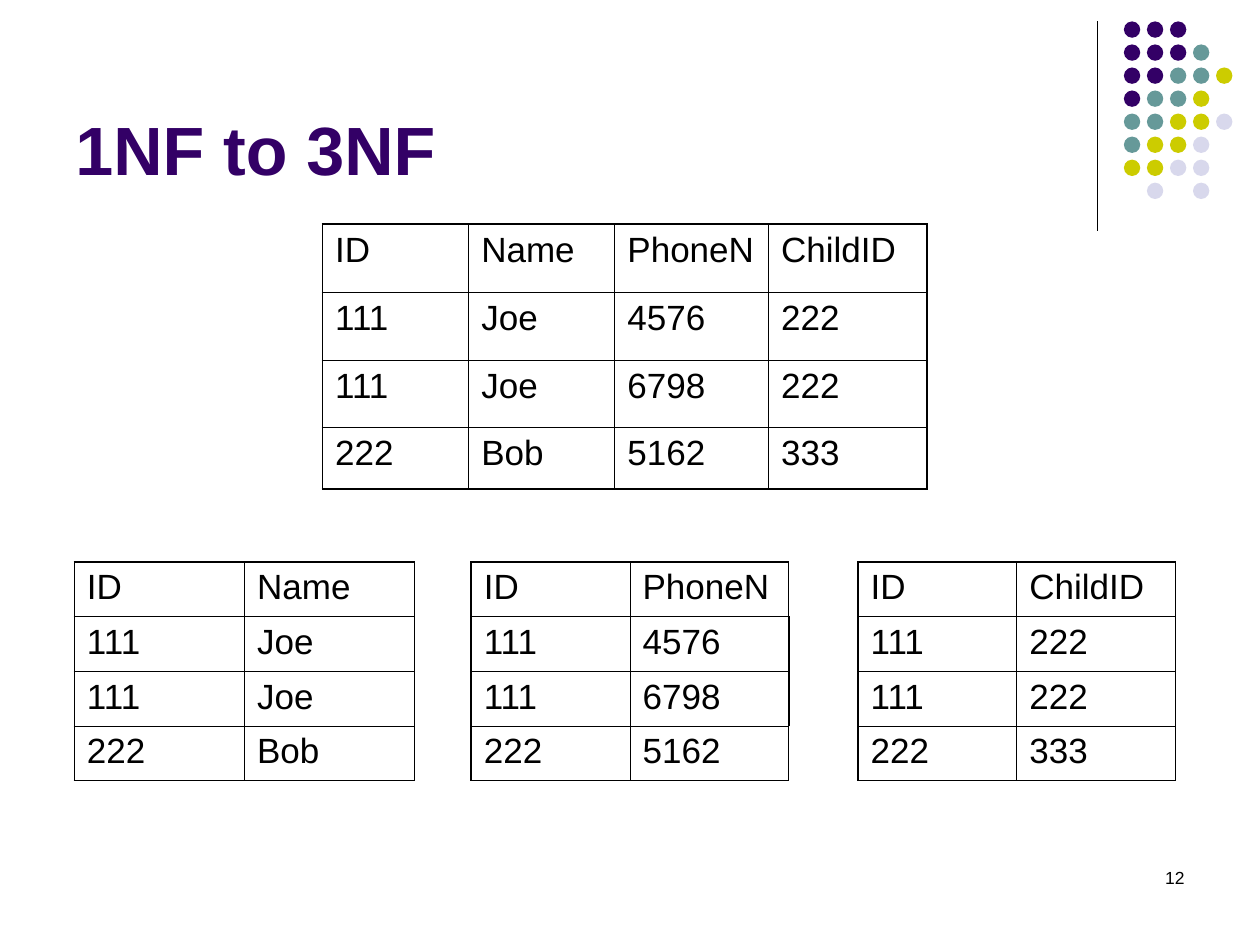
import pptx
import pptx.dml.color
import pptx.enum.shapes
import pptx.enum.text
import pptx.oxml
import pptx.oxml.ns
import pptx.util
from dataclasses import dataclass

Inches = pptx.util.Inches
Pt = pptx.util.Pt
Align = pptx.enum.text.PP_ALIGN
Anchor = pptx.enum.text.MSO_ANCHOR


def rgb(value):
    return pptx.dml.color.RGBColor.from_string(value)


@dataclass
class Theme:
    font: str = "Arial"
    text: str = "000000"
    purple: str = "330066"
    teal: str = "669999"
    olive: str = "CCCC00"
    lavender: str = "D8D8EC"
    title_size: int = 39
    table_size: int = 20
    number_size: int = 10
    rule: float = 0.75
    thin: float = 0.45
    heavy: float = 1.08


class Deck:
    def __init__(self, theme):
        self.theme = theme
        self.prs = pptx.Presentation()
        self.prs.slide_width, self.prs.slide_height = Inches(10), Inches(7.5)
        self.s = self.prs.slides.add_slide(self.prs.slide_layouts[6])

    def style(self, p, size, color, bold=False):
        p.font.name, p.font.size, p.font.bold = self.theme.font, Pt(size), bold
        p.font.color.rgb = rgb(color)

    def line(self, x1, y1, x2, y2):
        line = self.s.shapes.add_connector(
            pptx.enum.shapes.MSO_CONNECTOR.STRAIGHT,
            Inches(x1), Inches(y1), Inches(x2), Inches(y2))
        line.line.color.rgb = rgb(self.theme.text)
        line.line.width = Pt(self.theme.rule)
        pptx.oxml.ns.qn("a:effectLst")
        line._element.spPr.append(pptx.oxml.parse_xml(
            f'<a:effectLst {pptx.oxml.ns.nsdecls("a")}/>'))

    def dot(self, x, y, size, color):
        sp = self.s.shapes.add_shape(
            pptx.enum.shapes.MSO_SHAPE.OVAL,
            Inches(x), Inches(y), Inches(size), Inches(size))
        sp.shadow.inherit = False
        sp.fill.solid()
        sp.fill.fore_color.rgb = rgb(color)
        sp.line.fill.background()

    def text(self, x, y, w, h, text, size, color, bold=False,
             align=Align.LEFT, anchor=Anchor.TOP):
        tf = self.s.shapes.add_textbox(
            Inches(x), Inches(y), Inches(w), Inches(h)).text_frame
        tf.word_wrap = True
        tf.vertical_anchor = anchor
        p = tf.paragraphs[0]
        p.text, p.alignment = text, align
        self.style(p, size, color, bold)

    def border(self, cell, side, width):
        cell._tc.get_or_add_tcPr().append(pptx.oxml.parse_xml(
            f'<a:ln{side} {pptx.oxml.ns.nsdecls("a")} w="{Pt(width)}">'
            f'<a:solidFill><a:srgbClr val="{self.theme.text}"/></a:solidFill>'
            f'</a:ln{side}>'))

    def table(self, x, y, widths, heights, rows, heavy_corners=False):
        t = self.theme
        table = self.s.shapes.add_table(
            len(rows), len(widths), Inches(x), Inches(y),
            Inches(sum(widths)), Inches(sum(heights))).table
        table.first_row = table.horz_banding = False
        for col, width in zip(table.columns, widths):
            col.width = Inches(width)
        for row, height in zip(table.rows, heights):
            row.height = Inches(height)
        last_row, last_col = len(rows) - 1, len(widths) - 1
        for i, values in enumerate(rows):
            for j, value in enumerate(values):
                cell = table.cell(i, j)
                # Outer edges are heavy, inner ones thin
                outer = {"L": j == 0,
                         "R": j == last_col and (heavy_corners or 0 < i < last_row),
                         "T": i == 0,
                         "B": i == last_row}
                for side, heavy in outer.items():
                    self.border(cell, side, t.heavy if heavy else t.thin)
                cell.fill.background()
                p = cell.text_frame.paragraphs[0]
                p.text = value
                self.style(p, t.table_size, t.text)


def main():
    theme = Theme()
    deck = Deck(theme)

    # Corner decoration: rule and dot grid
    deck.line(8.71, 0.17, 8.71, 1.83)
    colors = {"P": theme.purple, "T": theme.teal,
              "O": theme.olive, "L": theme.lavender}
    pattern = ["PPP", "PPPT", "PPTTO", "PTTO", "TTOOL", "TOOL", "OOLL", " L L"]
    pitch = 1.28 / 7
    for i, dots in enumerate(pattern):
        for j, key in enumerate(dots):
            if key in colors:
                deck.dot(8.92 + j * pitch, 0.17 + i * pitch, 0.13, colors[key])

    # Slide number and title
    deck.text(7.17, 6.83, 2.33, 0.5, "12", theme.number_size, theme.text,
              align=Align.RIGHT)
    deck.text(0.5, 0.13, 8.25, 1.42, "1NF to 3NF", theme.title_size,
              theme.purple, bold=True, anchor=Anchor.BOTTOM)

    # Tables in 3NF: the ID column with one other column each
    people = [("ID", "Name", "PhoneN", "ChildID"),
              ("111", "Joe", "4576", "222"),
              ("111", "Joe", "6798", "222"),
              ("222", "Bob", "5162", "333")]
    for column, x, width in [(1, 0.59, 1.35), (2, 3.74, 1.26), (3, 6.81, 1.26)]:
        deck.table(x, 4.46, [width] * 2, [1.73 / 4] * 4,
                   [(row[0], row[column]) for row in people])

    # Table in 1NF
    deck.table(2.56, 1.78, [1.16, 1.16, 1.22, 1.26], [0.54, 0.54, 0.53, 0.49],
               people, heavy_corners=True)

    deck.prs.save("out.pptx")


if __name__ == "__main__":
    main()
